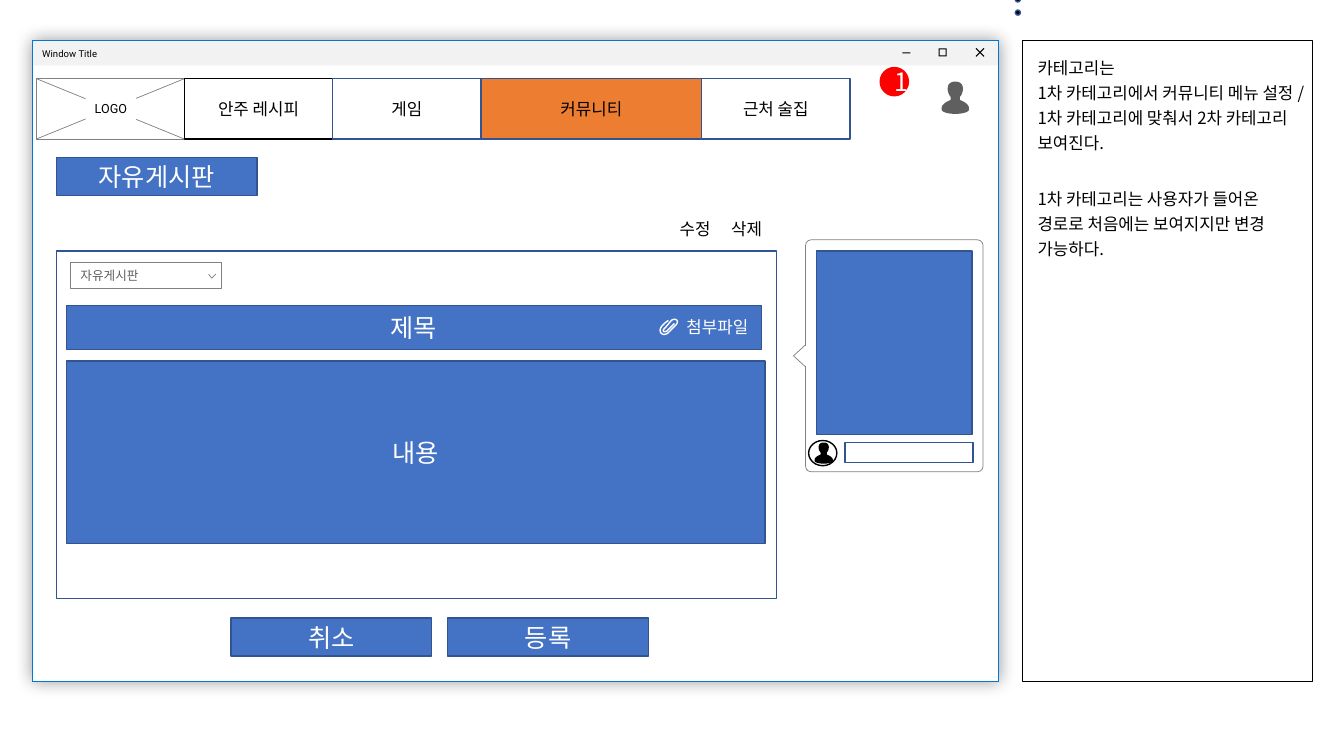
from pptx import Presentation
from pptx.dml.color import RGBColor
from pptx.enum import shapes as kinds, text as txt
from pptx.oxml import parse_xml
from pptx.oxml.ns import nsdecls
from pptx.util import Inches, Pt

KIND = kinds.MSO_SHAPE
ALIGN = txt.PP_ALIGN
KOREAN, LATIN = "Noto Sans CJK KR", "Roboto"
WHITE, BLACK, GREY, DARK = "FFFFFF", "000000", "808080", "5F5F5F"
BLUE, NAVY, ORANGE, RED, FRAME = "4472C4", "325491", "ED7D31", "FF0000", "0078D7"

# Left half of a head and shoulders, as cubic curves in a unit square
HALF = [
    [(.5, 0), (.33, 0), (.22, .07), (.22, .22)],
    [(.22, .22), (.22, .31), (.26, .41), (.33, .47)],
    [(.33, .53), (.33, .56), (.33, .57), (.3, .58)],
    [(.3, .58), (.11, .64), (0, .74), (0, .81)],
    [(0, .87), (0, .93), (.19, 1), (.5, 1)],
]
# Bends of the paper clip, joined by straight runs
CLIP = [
    [(6.63, 3.18), (6.61, 3.19), (6.59, 3.21), (6.57, 3.23)],
    [(6.57, 3.23), (6.51, 3.29), (6.58, 3.36), (6.64, 3.29)],
    [(6.7, 3.23), (6.75, 3.18), (6.69, 3.14), (6.65, 3.19)],
    [(6.6, 3.25), (6.55, 3.29), (6.6, 3.31), (6.63, 3.27)],
    [(6.63, 3.27), (6.65, 3.25), (6.67, 3.23), (6.69, 3.21)],
]


def color(code):
    return RGBColor.from_string(code)


def paint(shape, fill, line=None, width=1):
    shape.shadow.inherit = False
    if fill:
        shape.fill.solid()
        shape.fill.fore_color.rgb = color(fill)
    else:
        shape.fill.background()
    if line:
        shape.line.color.rgb = color(line)
        shape.line.width = Pt(width)
    else:
        shape.line.fill.background()


def style(par, size, code, font=KOREAN):
    """Format every run, for Latin and East Asian letters alike."""
    for run in par.runs:
        run.font.size = Pt(size)
        run.font.color.rgb = color(code)
        run.font.name = font
        run._r.get_or_add_rPr().append(
            parse_xml(f'<a:ea {nsdecls("a")} typeface="{font}"/>'))


def block(slide, box, fill, line=None, width=1, kind=KIND.RECTANGLE):
    shape = slide.shapes.add_shape(kind, *map(Inches, box))
    paint(shape, fill, line, width)
    return shape


def label(shape, words, size, code, font=KOREAN, align=ALIGN.CENTER, pads=None):
    frame = shape.text_frame
    frame.word_wrap = True
    frame.vertical_anchor = txt.MSO_ANCHOR.MIDDLE
    if pads:
        (frame.margin_left, frame.margin_top,
         frame.margin_right, frame.margin_bottom) = map(Inches, pads)
    par = frame.paragraphs[0]
    par.text = words
    par.alignment = align
    style(par, size, code, font)


def button(slide, box, words):
    label(block(slide, box, BLUE, NAVY), words, 18, WHITE)


def rule(slide, start, end, code, width=0.5):
    line = slide.shapes.add_connector(
        kinds.MSO_CONNECTOR.STRAIGHT, *map(Inches, start + end))
    line.line.color.rgb = color(code)
    line.line.width = Pt(width)
    line._element.spPr.append(parse_xml(f'<a:effectLst {nsdecls("a")}/>'))


def trace(slide, points, fill=None, line=None, width=1, close=False):
    first, *rest = [(Inches(x), Inches(y)) for x, y in points]
    pen = slide.shapes.build_freeform(*first)
    pen.add_line_segments(rest, close=close)
    paint(pen.convert_to_shape(), fill, line, width)


def bend(curves, steps=8):
    """Turn cubic curves into a list of points."""
    points = []
    for a, b, c, d in curves:
        for i in range(steps + 1):
            t = i / steps
            s = 1 - t
            points.append(tuple(
                s**3 * p + 3 * s * s * t * q + 3 * s * t * t * r + t**3 * e
                for p, q, r, e in zip(a, b, c, d)))
    return points


def person(slide, left, top, wide, high, code):
    half = bend(HALF)
    whole = half + [(1 - x, y) for x, y in reversed(half)]
    trace(slide, [(left + x * wide, top + y * high) for x, y in whole],
          fill=code, close=True)


def window(slide):
    area = (0.32, 0.4, 9.58, 6.36)
    back = block(slide, area, WHITE, FRAME, 0.5)
    effect = back._element.spPr.find(
        "{http://schemas.openxmlformats.org/drawingml/2006/main}effectLst")
    effect.append(parse_xml(
        f'<a:outerShdw {nsdecls("a")} blurRad="{Pt(12)}" dist="0" algn="ctr" '
        'rotWithShape="0"><a:srgbClr val="000000"><a:alpha val="40000"/>'
        '</a:srgbClr></a:outerShdw>'))
    bar = block(slide, (0.32, 0.4, 9.58, 0.25), "F2F2F2")
    label(bar, "Window Title", 6.8, BLACK, LATIN, ALIGN.LEFT,
          (0.1, 0.06, 0.1, 0.05))
    block(slide, (8.95, 0.52, 0.08, 0.01), BLACK)
    full = block(slide, (9.31, 0.48, 0.08, 0.08), BLACK, kind=KIND.FRAME)
    full.adjustments[0] = 0.12
    rule(slide, (9.68, 0.48), (9.76, 0.56), BLACK, 0.75)
    rule(slide, (9.68, 0.56), (9.76, 0.48), BLACK, 0.75)
    block(slide, area, None, FRAME, 0.5)


def notes(slide):
    block(slide, (10.14, 0.4, 2.88, 6.36), None, BLACK, 0.75)
    title = slide.shapes.title
    title.left, title.top, title.width, title.height = map(
        Inches, (10.19, 0.47, 2.88, 6.45))
    frame = title.text_frame
    frame.word_wrap = True
    frame.auto_size = txt.MSO_AUTO_SIZE.NONE
    frame.vertical_anchor = txt.MSO_ANCHOR.TOP
    frame.text = "\n".join([
        "카테고리는",
        "1차 카테고리에서 커뮤니티 메뉴 설정 / 1차 카테고리에 맞춰서 2차 카테고리 보여진다.",
        "1차 카테고리는 사용자가 들어온 경로로 처음에는 보여지지만 변경 가능하다."])
    for par in frame.paragraphs:
        par.alignment = ALIGN.LEFT
        par.line_spacing = 1.25
        par.space_before = Pt(0)
        style(par, 12, BLACK)
    frame.paragraphs[-1].space_before = Pt(21.7)


def menu(slide):
    left, top, wide, high = 0.36, 0.78, 1.47, 0.6
    right, base = left + wide, top + high
    block(slide, (left, top, wide, high), WHITE, GREY, 0.5)
    rule(slide, (left, base), (right, top), GREY)
    rule(slide, (left, top), (right, base), GREY)
    label(block(slide, (0.85, 0.96, 0.5, 0.23), WHITE), "LOGO", 9, BLACK,
          LATIN, pads=(0, 0.04, 0, 0.04))
    tabs = [("안주 레시피", 1.47, WHITE, BLACK), ("게임", 1.47, WHITE, NAVY),
            ("커뮤니티", 2.19, ORANGE, NAVY), ("근처 술집", 1.47, WHITE, NAVY)]
    for words, wide, fill, line in tabs:
        label(block(slide, (right, top, wide, high), fill, line),
              words, 12, BLACK)
        right += wide
    badge = block(slide, (8.73, 0.67, 0.28, 0.28), RED, RED, kind=KIND.OVAL)
    label(badge, "1", 18, WHITE)
    person(slide, 9.34, 0.81, 0.27, 0.32, DARK)


def chat(slide):
    bubble = block(slide, (7.99, 2.38, 1.76, 2.3), WHITE, GREY, 0.5,
                   KIND.ROUNDED_RECTANGLE)
    bubble.adjustments[0] = 0.03
    tail = block(slide, (7.82, 3.47, 0.22, 0.12), WHITE, GREY, 0.5,
                 KIND.ISOSCELES_TRIANGLE)
    tail.rotation = 270
    rule(slide, (7.99, 3.43), (7.99, 3.63), WHITE)
    block(slide, (8.38, 4.39, 1.27, 0.2), WHITE, NAVY)
    block(slide, (8.1, 2.49, 1.54, 1.82), BLUE, NAVY)
    block(slide, (8.02, 4.37, 0.28, 0.25), WHITE, BLACK, kind=KIND.OVAL)
    person(slide, 8.08, 4.39, 0.18, 0.21, BLACK)


def post(slide):
    button(slide, (0.56, 1.56, 1.99, 0.38), "자유게시판")
    block(slide, (0.56, 2.49, 7.14, 3.45), WHITE, NAVY)
    for words, left in (("삭제", 7.06), ("수정", 6.55)):
        label(block(slide, (left, 2.09, 0.69, 0.36), None), words, 12, BLACK)
    pick = block(slide, (0.7, 2.6, 1.5, 0.26), WHITE, GREY, 0.5)
    label(pick, "자유게시판", 9, DARK, LATIN, ALIGN.LEFT,
          (0.1, 0.06, 0.28, 0.06))
    trace(slide, [(2.07, 2.72), (2.1, 2.76), (2.14, 2.72)], None, GREY, 0.5)
    button(slide, (0.66, 3.03, 6.89, 0.44), "제목")
    button(slide, (0.66, 3.58, 6.93, 1.81), "내용")
    file = slide.shapes.add_textbox(*map(Inches, (6.71, 3.09, 0.88, 0.3)))
    label(file, "첨부파일", 12, WHITE, align=ALIGN.LEFT)
    file.text_frame.word_wrap = False
    trace(slide, bend(CLIP), None, WHITE)
    for words, left in (("취소", 2.29), ("등록", 4.44)):
        button(slide, (left, 6.13, 1.99, 0.38), words)


def main():
    deck = Presentation()
    deck.slide_width, deck.slide_height = Inches(13.33), Inches(7.5)
    slide = deck.slides.add_slide(deck.slide_layouts[5])
    window(slide)
    notes(slide)
    menu(slide)
    chat(slide)
    post(slide)
    for top in (0.1, -0.03):
        block(slide, (10.07, top, 0.05, 0.05), BLACK, NAVY, kind=KIND.OVAL)
    deck.save("out.pptx")


if __name__ == "__main__":
    main()
